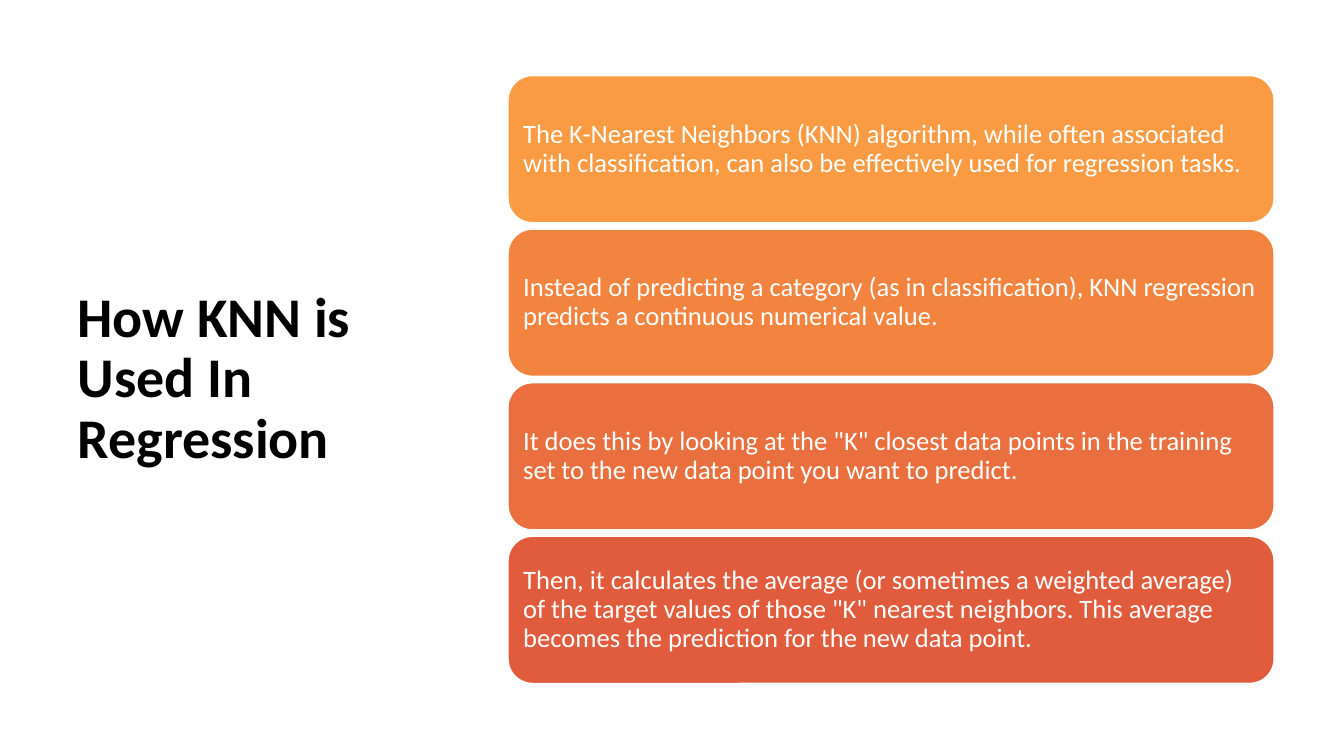
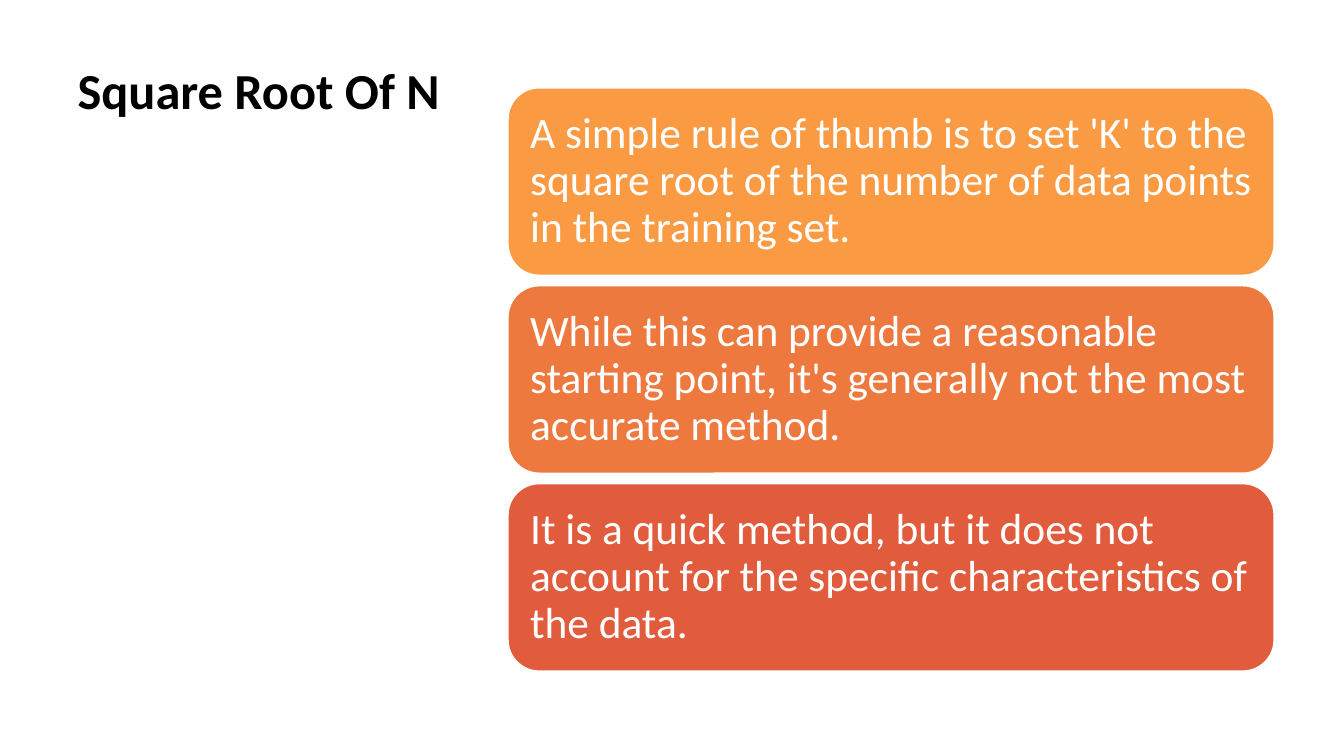
from pptx import Presentation
from pptx.dml.color import RGBColor
from pptx.enum.shapes import MSO_SHAPE
from pptx.enum.text import MSO_ANCHOR, MSO_AUTO_SIZE, PP_ALIGN
from pptx.util import Inches, Pt

ROUNDED = MSO_SHAPE.ROUNDED_RECTANGLE
LEFT = PP_ALIGN.LEFT
TOP, MIDDLE = MSO_ANCHOR.TOP, MSO_ANCHOR.MIDDLE
FIXED_SIZE = MSO_AUTO_SIZE.NONE
TITLE_ONLY = 5

COLORS = {
    "title": "000000",
    "white": "FFFFFF",
    "amber": "FA9A42",
    "orange": "F28440",
    "tangerine": "EE793F",
    "coral": "EA6F3E",
    "red": "E15C3D",
}

# Areas in percent of the slide: left, top, width, height
TITLE_AREA = (5.03, 8, 28.65, 84.4)
CARD_LEFT, CARD_WIDTH = 37.8, 57

# Card spacing as a share of the text size
GAP_SHARE, INSET_SHARE = 0.24, 0.3


def rgb(name):
    return RGBColor.from_string(COLORS[name])


class Deck:
    """Holds the shared style and the current slide."""

    font_name = "Calibri"
    line_spacing = 0.9

    def __init__(self):
        self.prs = Presentation()
        self.prs.slide_width = Inches(13.33)
        self.prs.slide_height = Inches(7.5)
        self.slide = None

    def x(self, percent):
        return round(self.prs.slide_width * percent / 100)

    def y(self, percent):
        return round(self.prs.slide_height * percent / 100)

    def set_text(self, frame, text, size, color, anchor, bold=False):
        frame.word_wrap = True
        frame.auto_size = FIXED_SIZE
        frame.vertical_anchor = anchor
        paragraph = frame.paragraphs[0]
        paragraph.alignment = LEFT
        paragraph.line_spacing = self.line_spacing
        run = paragraph.add_run()
        run.text = text
        run.font.name = self.font_name
        run.font.size = Pt(size)
        run.font.bold = bold
        run.font.color.rgb = rgb(color)

    def new_slide(self, heading, size, anchor):
        layout = self.prs.slide_layouts[TITLE_ONLY]
        self.slide = self.prs.slides.add_slide(layout)
        title = self.slide.shapes.title
        left, top, width, height = TITLE_AREA
        title.left, title.top = self.x(left), self.y(top)
        title.width, title.height = self.x(width), self.y(height)
        self.set_text(title.text_frame, heading, size, "title", anchor, bold=True)

    def card(self, text, color, top, height, size):
        card = self.slide.shapes.add_shape(
            ROUNDED, self.x(CARD_LEFT), top, self.x(CARD_WIDTH), height)
        card.shadow.inherit = False
        card.fill.solid()
        card.fill.fore_color.rgb = rgb(color)
        card.line.color.rgb = rgb("white")
        card.line.width = Pt(1)
        frame = card.text_frame
        inset = Pt(size * INSET_SHARE)
        frame.margin_left = frame.margin_right = inset
        frame.margin_top = frame.margin_bottom = inset
        self.set_text(frame, text, size, "white", MIDDLE)

    def card_stack(self, cards, height_percent, size):
        """Stack equal cards, centred on the title area's height."""
        height, gap = self.y(height_percent), Pt(size * GAP_SHARE)
        total = len(cards) * height + (len(cards) - 1) * gap
        middle = self.y(TITLE_AREA[1] + TITLE_AREA[3] / 2)
        first_top = middle - total // 2
        for row, (color, text) in enumerate(cards):
            self.card(text, color, first_top + row * (height + gap), height, size)


REGRESSION_STEPS = [
    ("amber", "The K-Nearest Neighbors (KNN) algorithm, while often associated "
              "with classification, can also be effectively used for regression tasks."),
    ("orange", "Instead of predicting a category (as in classification), KNN "
               "regression predicts a continuous numerical value."),
    ("coral", 'It does this by looking at the "K" closest data points in the '
              "training set to the new data point you want to predict."),
    ("red", "Then, it calculates the average (or sometimes a weighted average) "
            'of the target values of those "K" nearest neighbors. This average '
            "becomes the prediction for the new data point."),
]

SQUARE_ROOT_NOTES = [
    ("amber", "A simple rule of thumb is to set 'K' to the square root of the "
              "number of data points in the training set."),
    ("tangerine", "While this can provide a reasonable starting point, it's "
                  "generally not the most accurate method."),
    ("red", "It is a quick method, but it does not account for the specific "
            "characteristics of the data."),
]


def main():
    deck = Deck()

    # KNN in regression
    deck.new_slide("How KNN is Used In Regression", 40, MIDDLE)
    deck.card_stack(REGRESSION_STEPS, 19.47, 19)

    # Square root rule
    deck.new_slide("Square Root Of N", 36, TOP)
    deck.card_stack(SQUARE_ROOT_NOTES, 24.8, 31)

    deck.prs.save("out.pptx")


if __name__ == "__main__":
    main()
